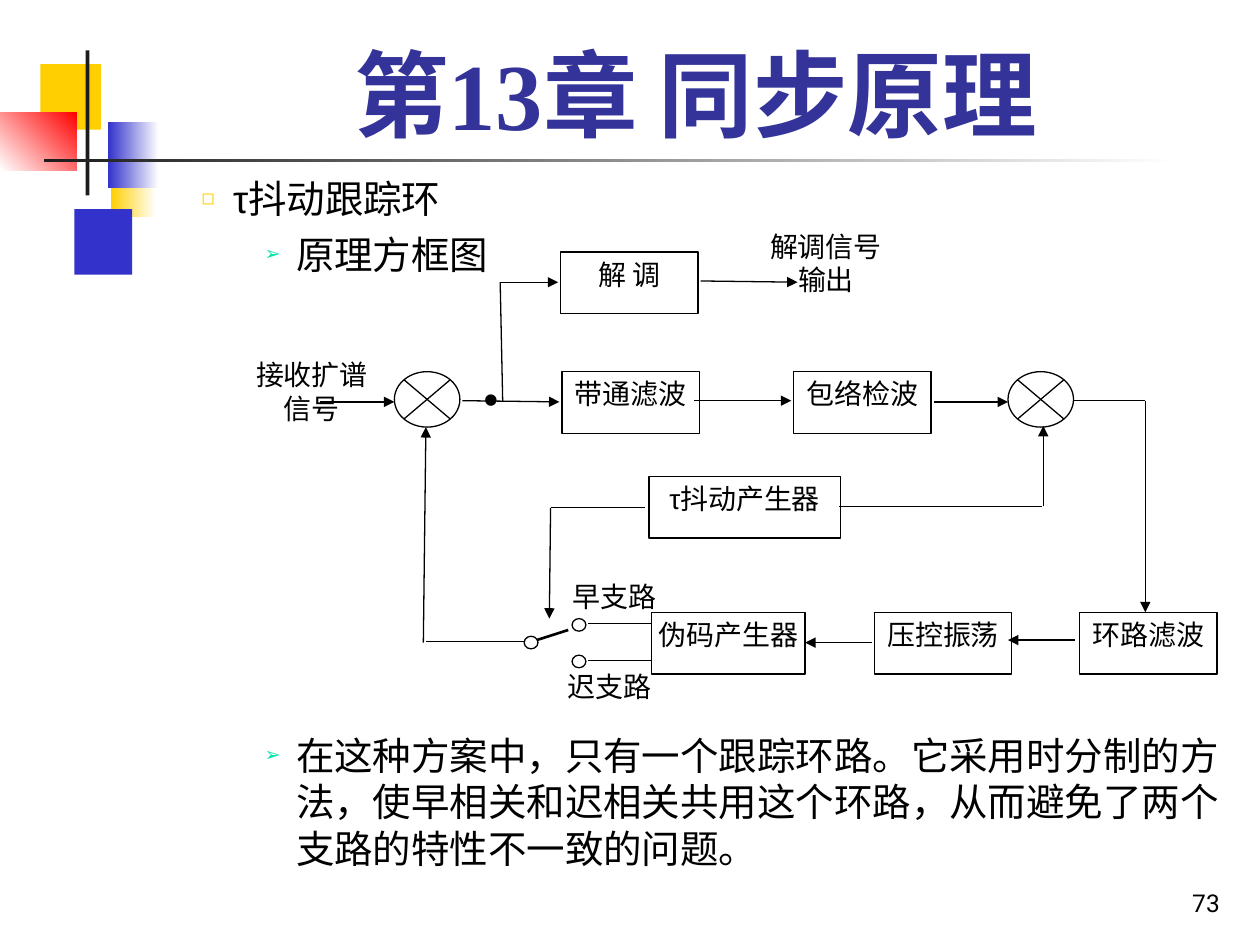
from dataclasses import dataclass

from lxml import etree
from pptx import Presentation
from pptx import util as u
from pptx.dml.color import RGBColor
from pptx.enum import shapes, text
from pptx.oxml import ns


@dataclass(frozen=True)
class Theme:
    black: str = "000000"
    white: str = "FFFFFF"
    yellow: str = "FFCF01"
    blue: str = "3333CC"
    red: str = "FF0000"
    charcoal: str = "1C1C1C"
    title: str = "333399"
    green: str = "00E4A8"
    serif: str = "Times New Roman"
    sans: str = "Arial"
    number_font: str = "Roboto"
    title_size: int = 54
    body_size: int = 22
    label_size: int = 16
    dot_size: int = 24
    number_size: int = 14
    thin: float = 0.75
    thick: float = 1.5


THEME = Theme()
SHAPE = shapes.MSO_SHAPE
ALIGN = text.PP_ALIGN


@dataclass(frozen=True)
class Decoration:
    """A borderless rectangle; a gradient runs from color to end at angle."""
    left: float
    top: float
    width: float
    height: float
    color: str
    end: str = ""
    angle: int = 0


@dataclass(frozen=True)
class Block:
    label: str
    left: float
    top: float
    width: float = 1.09
    height: float = 0.49
    framed: bool = True


@dataclass(frozen=True)
class Wire:
    start: tuple[float, float]
    end: tuple[float, float]
    arrow: bool = False
    weight: float = THEME.thin


@dataclass(frozen=True)
class Bullet:
    label: str
    level: int
    margin: float
    symbol: str
    color: str
    percent: int
    space_before: float


DECORATIONS = [
    Decoration(0.88, 1.2, 0.36, 0.52, THEME.white, THEME.yellow, 180),
    Decoration(0.59, 1.66, 0.46, 0.52, THEME.blue),
    Decoration(0.32, 0.51, 0.48, 0.52, THEME.yellow),
    Decoration(0.86, 0.97, 0.4, 0.52, THEME.white, THEME.blue, 180),
    Decoration(0, 0.89, 0.61, 0.46, THEME.red, THEME.white, 225),
    Decoration(0.68, 0.4, 0.03, 1.15, THEME.charcoal),
    Decoration(0.35, 1.26, 9, 0.03, THEME.white, THEME.charcoal, 180),
]
BLOCKS = [
    Block("解 调", 4.45, 2),
    Block("带通滤波", 4.46, 2.95),
    Block("包络检波", 6.3, 2.95),
    Block("τ抖动产生器", 5.15, 3.78, 1.52),
    Block("伪码产生器", 5.17, 4.86, 1.22),
    Block("压控振荡", 6.94, 4.86),
    Block("环路滤波", 8.57, 4.86),
]
CAPTIONS = [
    Block("解调信号\n输出", 6.01, 1.78, 1.09, 0.75, False),
    Block("接收扩谱\n信号", 1.93, 2.8, 1.09, 0.75, False),
    Block("早支路", 4.42, 4.56, 0.91, 0.41, False),
    Block("迟支路", 4.38, 5.27, 0.91, 0.41, False),
]
MIXERS = [(3.13, 2.95), (8, 2.95)]
SWITCH_CONTACTS = [(4.54, 4.91), (4.54, 5.2), (4.16, 5.05)]
WIRES = [
    # Received signal through the filter and detector
    Wire((2.54, 3.19), (3.13, 3.19), True),
    Wire((3.67, 3.18), (4.44, 3.19), True),
    Wire((5.51, 3.18), (6.28, 3.18), True),
    Wire((7.41, 3.19), (8, 3.19), True),
    # Demodulation branch
    Wire((3.99, 3.19), (3.97, 2.24)),
    Wire((3.97, 2.24), (4.43, 2.24), True),
    Wire((5.56, 2.23), (6.33, 2.24), True),
    # Jitter generator to the mixer and the switch
    Wire((6.66, 4.02), (8.27, 4.02)),
    Wire((8.28, 4.02), (8.28, 3.38), True),
    Wire((5.12, 4.03), (4.37, 4.03)),
    Wire((4.37, 4.03), (4.36, 4.91), True),
    # Feedback loop
    Wire((8.52, 3.18), (9.09, 3.18)),
    Wire((9.09, 3.18), (9.09, 4.86), True),
    Wire((8.53, 5.08), (8, 5.08), True),
    Wire((6.92, 5.1), (6.39, 5.1), True),
    # Early and late branches, switch, and return to the first mixer
    Wire((4.67, 4.95), (5.17, 4.95)),
    Wire((4.67, 5.24), (5.17, 5.24)),
    Wire((4.26, 5.08), (4.51, 5), weight=THEME.thick),
    Wire((4.17, 5.09), (3.38, 5.09)),
    Wire((3.36, 5.1), (3.38, 3.39), True),
]
BULLETS = [
    Bullet("τ抖动跟踪环", 3, 1.75, "◻", THEME.yellow, 55, 0),
    Bullet("原理方框图", 4, 2.25, "➢", THEME.green, 50, 5.5),
    Bullet("在这种方案中，只有一个跟踪环路。它采用时分制的方法，使早相关和迟相关共用这个环路，"
           "从而避免了两个支路的特性不一致的问题。", 4, 2.25, "➢", THEME.green, 50, 260),
]


def rgb(color: str) -> RGBColor:
    return RGBColor.from_string(color)


def inches(*lengths: float) -> list[u.Inches]:
    return [u.Inches(length) for length in lengths]


def add_run(paragraph, label: str, size: int, font: str = THEME.serif,
            color: str = THEME.black, bold: bool = False) -> None:
    run = paragraph.add_run()
    run.text = label
    run.font.size, run.font.name, run.font.bold = u.Pt(size), font, bold
    run.font.color.rgb = rgb(color)


def add_label(paragraph, label: str, size: int) -> None:
    """Sets a leading τ in the sans font and the rest in the serif font."""
    rest = label.removeprefix("τ")
    if rest != label:
        add_run(paragraph, "τ", size, THEME.sans)
    add_run(paragraph, rest, size)


def add_decoration(slide, item: Decoration) -> None:
    shape = slide.shapes.add_shape(
        SHAPE.RECTANGLE, *inches(item.left, item.top, item.width, item.height))
    shape.shadow.inherit = False
    shape.line.fill.background()
    if item.end:
        shape.fill.gradient()
        shape.fill.gradient_angle = item.angle
        for stop, color in zip(shape.fill.gradient_stops, (item.color, item.end)):
            stop.color.rgb = rgb(color)
    else:
        shape.fill.solid()
        shape.fill.fore_color.rgb = rgb(item.color)


def add_outlined(slide, kind, left: float, top: float, width: float, height: float):
    shape = slide.shapes.add_shape(kind, *inches(left, top, width, height))
    shape.shadow.inherit = False
    shape.fill.solid()
    shape.fill.fore_color.rgb = rgb(THEME.white)
    shape.line.color.rgb = rgb(THEME.black)
    shape.line.width = u.Pt(THEME.thin)
    return shape


def add_block(slide, block: Block) -> None:
    place = block.left, block.top, block.width, block.height
    shape = (add_outlined(slide, SHAPE.RECTANGLE, *place) if block.framed
             else slide.shapes.add_textbox(*inches(*place)))
    frame = shape.text_frame
    frame.word_wrap = True
    frame.vertical_anchor = text.MSO_ANCHOR.TOP
    frame.margin_left = frame.margin_right = frame.margin_bottom = 0
    frame.margin_top = u.Inches(0.04)
    for index, line in enumerate(block.label.split("\n")):
        paragraph = frame.add_paragraph() if index else frame.paragraphs[0]
        paragraph.alignment = ALIGN.CENTER
        add_label(paragraph, line, THEME.label_size)


def add_wire(slide, wire: Wire) -> None:
    connector = slide.shapes.add_connector(
        shapes.MSO_CONNECTOR.STRAIGHT, *inches(*wire.start, *wire.end))
    connector.line.color.rgb = rgb(THEME.black)
    connector.line.width = u.Pt(wire.weight)
    if wire.arrow:
        etree.SubElement(connector.line._get_or_add_ln(), ns.qn("a:tailEnd"), type="triangle")
    etree.SubElement(connector._element.spPr, ns.qn("a:effectLst"))


def add_bullet(paragraph, bullet: Bullet) -> None:
    paragraph.level = bullet.level
    properties = paragraph._p.get_or_add_pPr()
    properties.set("marL", str(u.Inches(bullet.margin)))
    properties.set("indent", str(u.Inches(-0.25)))
    color = etree.SubElement(properties, ns.qn("a:buClr"))
    etree.SubElement(color, ns.qn("a:srgbClr"), val=bullet.color)
    etree.SubElement(properties, ns.qn("a:buSzPct"), val=str(bullet.percent * 1000))
    etree.SubElement(properties, ns.qn("a:buChar"), char=bullet.symbol)
    paragraph.space_before = u.Pt(bullet.space_before)
    add_label(paragraph, bullet.label, THEME.body_size)


def place_frame(shape, left: float, top: float, width: float, height: float, anchor):
    shape.left, shape.top, shape.width, shape.height = inches(left, top, width, height)
    frame = shape.text_frame
    frame.word_wrap = True
    frame.auto_size = text.MSO_AUTO_SIZE.NONE
    frame.vertical_anchor = anchor
    return frame


def add_text(slide, label: str, place: tuple, anchor, alignment, size: int, font: str) -> None:
    frame = place_frame(slide.shapes.add_textbox(0, 0, 0, 0), *place, anchor)
    frame.paragraphs[0].alignment = alignment
    add_run(frame.paragraphs[0], label, size, font)


def main() -> None:
    presentation = Presentation()
    presentation.slide_width, presentation.slide_height = inches(10, 7.5)
    slide = presentation.slides.add_slide(presentation.slide_layouts[1])
    top, bottom = text.MSO_ANCHOR.TOP, text.MSO_ANCHOR.BOTTOM

    for decoration in DECORATIONS:
        add_decoration(slide, decoration)
    for mixer in MIXERS:
        add_outlined(slide, SHAPE.FLOWCHART_SUMMING_JUNCTION, *mixer, 0.52, 0.44)
    for block in BLOCKS:
        add_block(slide, block)
    for contact in SWITCH_CONTACTS:
        add_outlined(slide, SHAPE.OVAL, *contact, 0.11, 0.1)
    for wire in WIRES:
        add_wire(slide, wire)
    for caption in CAPTIONS:
        add_block(slide, caption)
    add_text(slide, "•", (3.74, 2.91, 0.45, 0.49), top, ALIGN.JUSTIFY,
             THEME.dot_size, THEME.sans)

    title = place_frame(slide.shapes.title, 1.26, 0.23, 8.52, 1.01, bottom).paragraphs[0]
    title.alignment = ALIGN.CENTER
    add_run(title, "第13章 同步原理", THEME.title_size, color=THEME.title, bold=True)
    body = place_frame(slide.placeholders[1], 0, 1.34, 10, 6.16, top)
    for index, bullet in enumerate(BULLETS):
        add_bullet(body.add_paragraph() if index else body.paragraphs[0], bullet)
    add_text(slide, "73", (7.7, 6.83, 2.08, 0.5), bottom, ALIGN.RIGHT,
             THEME.number_size, THEME.number_font)
    presentation.save("out.pptx")


if __name__ == "__main__":
    main()
